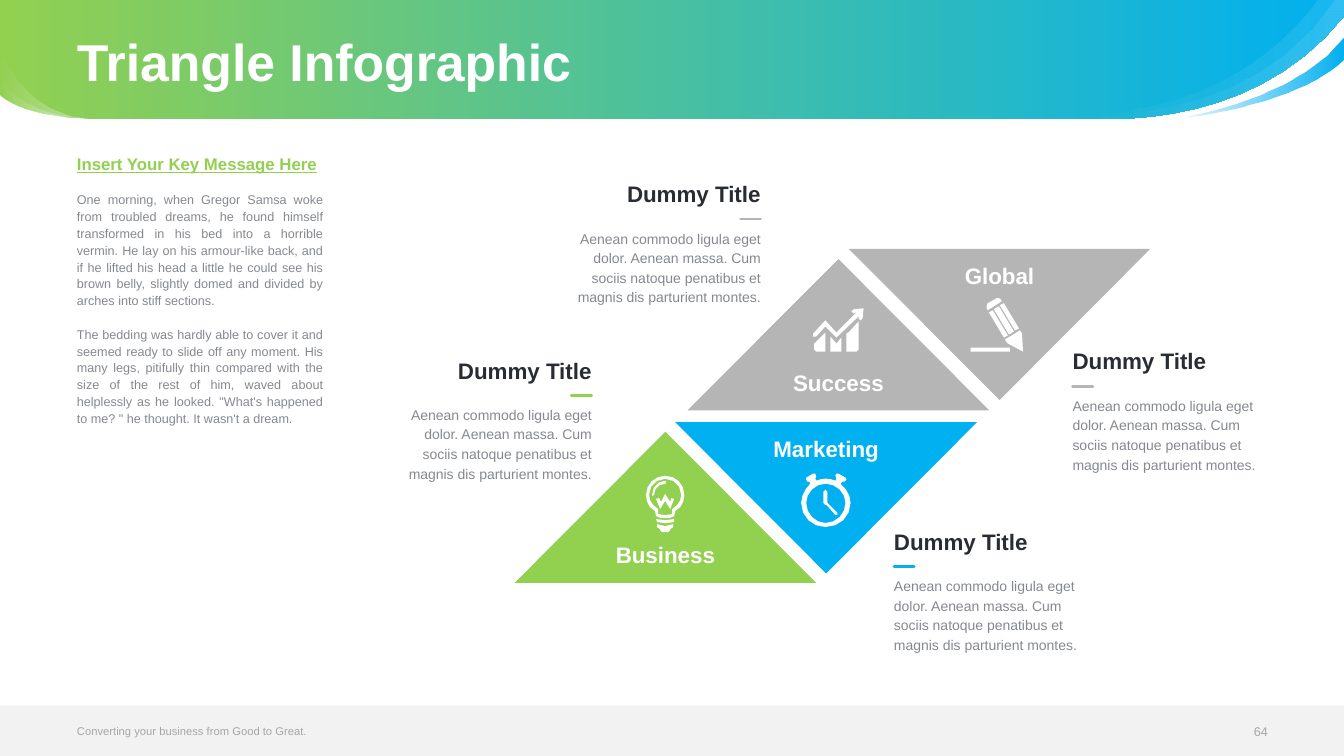
from math import dist, sqrt

from lxml.etree import SubElement
from pptx import Presentation
from pptx.dml.color import RGBColor
from pptx.enum.shapes import MSO_CONNECTOR, MSO_SHAPE
from pptx.enum.text import MSO_ANCHOR, PP_ALIGN
from pptx.oxml.ns import qn
from pptx.util import Cm, Pt

GREEN, BLUE, GREY, WHITE = "92D050", "00B0F0", "B5B5B5", "FFFFFF"
INK, BODY, FAINT, FOOTER = "292C34", "85898F", "A6A6A6", "F2F2F2"
LEFT, RIGHT, CENTER = PP_ALIGN.LEFT, PP_ALIGN.RIGHT, PP_ALIGN.CENTER

WIDTH, HEIGHT = 33.87, 19.05
MARGIN = 1.94
TRI_W, TRI_H = 7.6, 3.81
TEXT_W, TITLE_H, BODY_H, DASH = 4.9, 0.69, 2.0, 0.51
ICON_UNIT = 2.54 / 100

KEY_MESSAGE = "Insert Your Key Message Here"
STORY = [
    "One morning, when Gregor Samsa woke from troubled dreams, he found himself transformed "
    "in his bed into a horrible vermin. He lay on his armour-like back, and if he lifted his "
    "head a little he could see his brown belly, slightly domed and divided by arches into "
    "stiff sections.",
    "The bedding was hardly able to cover it and seemed ready to slide off any moment. His "
    "many legs, pitifully thin compared with the size of the rest of him, waved about "
    "helplessly as he looked. \"What's happened to me? \" he thought. It wasn't a dream.",
]
CALLOUT_TITLE = "Dummy Title"
CALLOUT_BODY = ("Aenean commodo ligula eget dolor. Aenean massa. Cum sociis natoque "
                "penatibus et magnis dis parturient montes.")

# Outline in cm, then (position, colour, opacity %) for both gradient stops
BANNER = [
    ("M 33.87 0 L 33.87 0.41 C 32.16 2.54 29.72 2.97 28.07 3 L 2.46 3 "
     "C 0.46 2.97 0 2.39 0 2.39 L 0 0 Z", (0, GREEN, 100), (1, BLUE, 100)),
    ("M 33.87 0 L 33.87 0.41 C 31.09 3.89 26.39 2.87 26.26 2.84 "
     "C 26.42 2.84 31.29 3.53 33.63 0 Z", (0.15, WHITE, 0), (1, WHITE, 10)),
    ("M 29.39 3 C 29.39 3 32.56 2.62 33.87 0.94 L 33.87 1.5 "
     "C 33.87 1.5 32.87 2.64 29.39 3 Z", (0, BLUE, 0), (1, BLUE, 100)),
    ("M 33.87 0 L 33.87 0.41 C 31.06 3.94 26.26 2.84 26.26 2.84 "
     "C 30.2 3.1 32.26 1.27 33.2 0 Z", (0.15, WHITE, 0), (1, WHITE, 10)),
    ("M 2.49 3 C 0.46 2.97 0 2.39 0 2.39 L 0 1.93 C 0 1.93 0.46 2.97 2.49 3 Z",
     (0, WHITE, 0), (1, WHITE, 50)),
    ("M 2.49 3 C 0.46 2.97 0 2.39 0 2.39 L 0 1.14 C 0 1.14 0.46 2.95 2.49 3 Z",
     (0, WHITE, 0), (1, WHITE, 50)),
]

BULB = (
    "M 10 43 L 11 46 L 19 47 L 28 46 L 28 43 L 19 44 Z "
    "M 19 8 L 20 6 L 19 5 C 12 5 6 11 6 19 L 6 20 L 8 19 C 8 12 13 8 19 8 Z "
    "M 11 48 L 11 51 L 14 53 L 14 54 L 16 56 L 22 56 L 24 54 L 24 53 L 27 51 L 27 48 "
    "L 19 50 Z M 24 26 L 19 18 L 15 26 L 13 22 L 10 23 L 14 33 L 19 25 L 24 33 L 28 23 "
    "L 25 22 Z M 19 0 C 9 0 0 8 0 19 C 0 26 3 32 9 35 L 10 40 C 12 42 16 42 19 42 "
    "C 22 42 26 42 28 40 L 29 35 C 35 32 38 26 38 19 C 38 8 30 0 19 0 Z "
    "M 26 33 L 26 38 L 19 39 L 12 38 L 12 33 C 7 30 3 25 3 19 C 3 10 10 3 19 3 "
    "C 28 3 35 10 35 19 C 35 25 31 30 26 33 Z")
CLOCK = (
    "M 26 30 L 26 19 L 24 17 L 22 19 L 22 30 L 24 32 L 25 32 L 34 42 L 36 42 L 36 40 Z "
    "M 39 11 L 41 9 L 43 9 L 45 7 L 44 5 L 37 1 L 35 1 L 34 3 L 35 6 L 34 8 "
    "C 31 7 28 6 24 6 C 21 6 18 7 15 8 L 14 6 L 15 4 L 14 1 L 12 1 L 5 5 L 5 7 L 6 9 "
    "L 8 9 L 9 11 C 4 16 0 23 0 30 C 0 44 11 54 24 54 C 38 54 49 44 49 30 "
    "C 49 23 45 16 39 11 Z M 24 50 C 14 50 5 41 5 30 C 5 20 14 11 24 11 "
    "C 35 11 44 20 44 30 C 44 41 35 50 24 50 Z")
GROWTH = (
    "M 18 28 L 18 43 L 29 43 L 29 29 L 24 35 Z M 2 41 L 4 43 L 13 43 L 13 24 L 2 35 Z "
    "M 34 25 L 34 43 L 44 43 L 46 41 L 46 13 L 36 24 Z M 41 1 L 39 3 L 41 5 L 44 4 "
    "L 24 24 L 13 12 L 1 25 L 1 28 L 4 28 L 13 18 L 24 29 L 46 8 L 46 10 L 48 12 L 50 10 "
    "L 51 0 Z")
PENCIL = (
    "M 36 45 L 37 46 L 52 54 L 51 36 L 49 33 L 34 42 Z M 44 33 L 48 31 L 33 6 L 29 8 Z "
    "M 43 34 L 28 9 L 23 12 L 38 37 Z M 18 15 L 33 40 L 37 38 L 22 13 Z "
    "M 17 13 L 31 4 L 30 2 L 28 1 L 26 1 L 17 6 L 16 8 L 16 11 Z "
    "M 0 54 L 39 54 L 39 50 L 0 50 Z")

# label, colour, triangle corner, points up, icon, icon corner, callout corner, callout side
TOPICS = [
    ("Business", GREEN, (12.97, 10.88), True, BULB, (16.28, 11.99), (10.01, 8.99), RIGHT),
    ("Global", GREY, (21.39, 6.27), False, PENCIL, (24.46, 7.49), (27.03, 8.76), LEFT),
    ("Marketing", BLUE, (17.02, 10.64), False, CLOCK, (20.19, 11.91), (22.53, 13.31), LEFT),
    ("Success", GREY, (17.33, 6.53), True, GROWTH, (20.47, 7.77), (14.27, 4.55), RIGHT),
]


def color(value):
    return RGBColor.from_string(value)


def paint(sp, fill):
    sp.fill.solid()
    sp.fill.fore_color.rgb = color(fill)
    sp.line.fill.background()
    sp.shadow.inherit = False


def paint_gradient(sp, stops):
    paint(sp, WHITE)
    sp.fill.gradient()
    sp.fill.gradient_angle = 0
    for stop, (position, value, _) in zip(sp.fill.gradient_stops, stops):
        stop.position = position
        stop.color.rgb = color(value)
    for clr, (_, _, opacity) in zip(sp._element.spPr.iter(qn("a:srgbClr")), stops):
        SubElement(clr, qn("a:alpha"), val=str(opacity * 1000))


def curve(points):
    """Points along a cubic Bezier curve, without its start; longer curves get more."""
    steps = max(2, round(4.5 * sqrt(dist(points[0], points[3]))))
    for i in range(1, steps + 1):
        t = i / steps
        weights = ((1 - t) ** 3, 3 * t * (1 - t) ** 2, 3 * t * t * (1 - t), t ** 3)
        yield tuple(sum(w * p[axis] for w, p in zip(weights, points)) for axis in (0, 1))


def contours(outline, unit):
    """Turn M/L/C/Z commands into one list of points in cm per contour."""
    for part in outline.split("Z")[:-1]:
        points = []
        for command in part.replace("L", "|").replace("C", "|").replace("M", "|").split("|")[1:]:
            n = [float(v) * unit for v in command.split()]
            pairs = list(zip(n[::2], n[1::2]))
            points += curve([points[-1]] + pairs) if len(pairs) == 3 else pairs
        yield points


def add_outline(outline, corner=(0, 0), unit=1):
    builder = None
    for points in contours(outline, unit):
        pts = [tuple(Cm(c + v) for c, v in zip(corner, p)) for p in points]
        if builder is None:
            builder = s.shapes.build_freeform(*pts[0], scale=1.0)
        else:
            builder.move_to(*pts[0])
        builder.add_line_segments(pts[1:], close=True)
    return builder.convert_to_shape()


def add_text(box, texts, size, fill, bold=False, align=LEFT, spacing=None,
             anchor=MSO_ANCHOR.TOP):
    tf = s.shapes.add_textbox(*(Cm(v) for v in box)).text_frame
    tf.word_wrap = True
    tf.vertical_anchor = anchor
    tf.margin_left = tf.margin_right = tf.margin_top = tf.margin_bottom = 0
    for i, text in enumerate(texts):
        p = tf.add_paragraph() if i else tf.paragraphs[0]
        p.alignment = align
        if spacing:
            p.line_spacing = spacing
        r = p.add_run()
        r.text = text
        r.font.name, r.font.size, r.font.bold = "Arial", Pt(size), bold
        r.font.color.rgb = color(fill)
    return tf


def add_dash(x, y, fill):
    line = s.shapes.add_connector(MSO_CONNECTOR.STRAIGHT, Cm(x), Cm(y), Cm(x + DASH), Cm(y))
    line.line.color.rgb = color(fill)
    line.line.width = Pt(2)
    line._element.spPr.find(qn("a:ln")).set("cap", "rnd")
    SubElement(line._element.spPr, qn("a:effectLst"))


prs = Presentation()
prs.slide_width, prs.slide_height = Cm(WIDTH), Cm(HEIGHT)
s = prs.slides.add_slide(prs.slide_layouts[6])

for outline, *stops in BANNER:
    paint_gradient(add_outline(outline), stops)
paint(s.shapes.add_shape(MSO_SHAPE.RECTANGLE, 0, Cm(17.78), Cm(WIDTH), Cm(1.27)), FOOTER)

add_text((MARGIN, 0.13, 30, 3), ["Triangle Infographic"], 37, WHITE, True,
         spacing=0.9, anchor=MSO_ANCHOR.MIDDLE)
story = add_text((MARGIN, 3.96, 6.2, 13.18), [KEY_MESSAGE] + STORY, 9, BODY,
                 align=PP_ALIGN.JUSTIFY, spacing=Pt(12))
for p in story.paragraphs[1:]:
    p.space_before = Pt(12)
heading = story.paragraphs[0].runs[0].font
heading.size, heading.bold, heading.underline = Pt(12), True, True
heading.color.rgb = color(GREEN)
add_text((MARGIN, 18.09, 13.28, 0.66), ["Converting your business from Good to Great."], 8,
         FAINT, anchor=MSO_ANCHOR.MIDDLE)
add_text((30.35, 18.11, 1.6, 0.66), ["64"], 9, FAINT, align=RIGHT, anchor=MSO_ANCHOR.MIDDLE)

for label, fill, (x, y), up, icon, icon_at, (cx, cy), side in TOPICS:
    sp = s.shapes.add_shape(MSO_SHAPE.ISOSCELES_TRIANGLE, Cm(x), Cm(y), Cm(TRI_W), Cm(TRI_H))
    sp.rotation = 0 if up else 180
    paint(sp, fill)
    paint(add_outline(icon, icon_at, ICON_UNIT), WHITE)
    add_text((x + (TRI_W - TEXT_W) / 2, y + (2.76 if up else 0.33), TEXT_W, TITLE_H),
             [label], 16, WHITE, True, CENTER)
    add_text((cx, cy, TEXT_W, TITLE_H), [CALLOUT_TITLE], 16, INK, True, side)
    add_dash(cx + (TEXT_W - DASH if side == RIGHT else 0), cy + 0.97, fill)
    add_text((cx, cy + 1.18, TEXT_W, BODY_H), [CALLOUT_BODY], 10, BODY, align=side,
             spacing=Pt(14))

prs.save("out.pptx")
